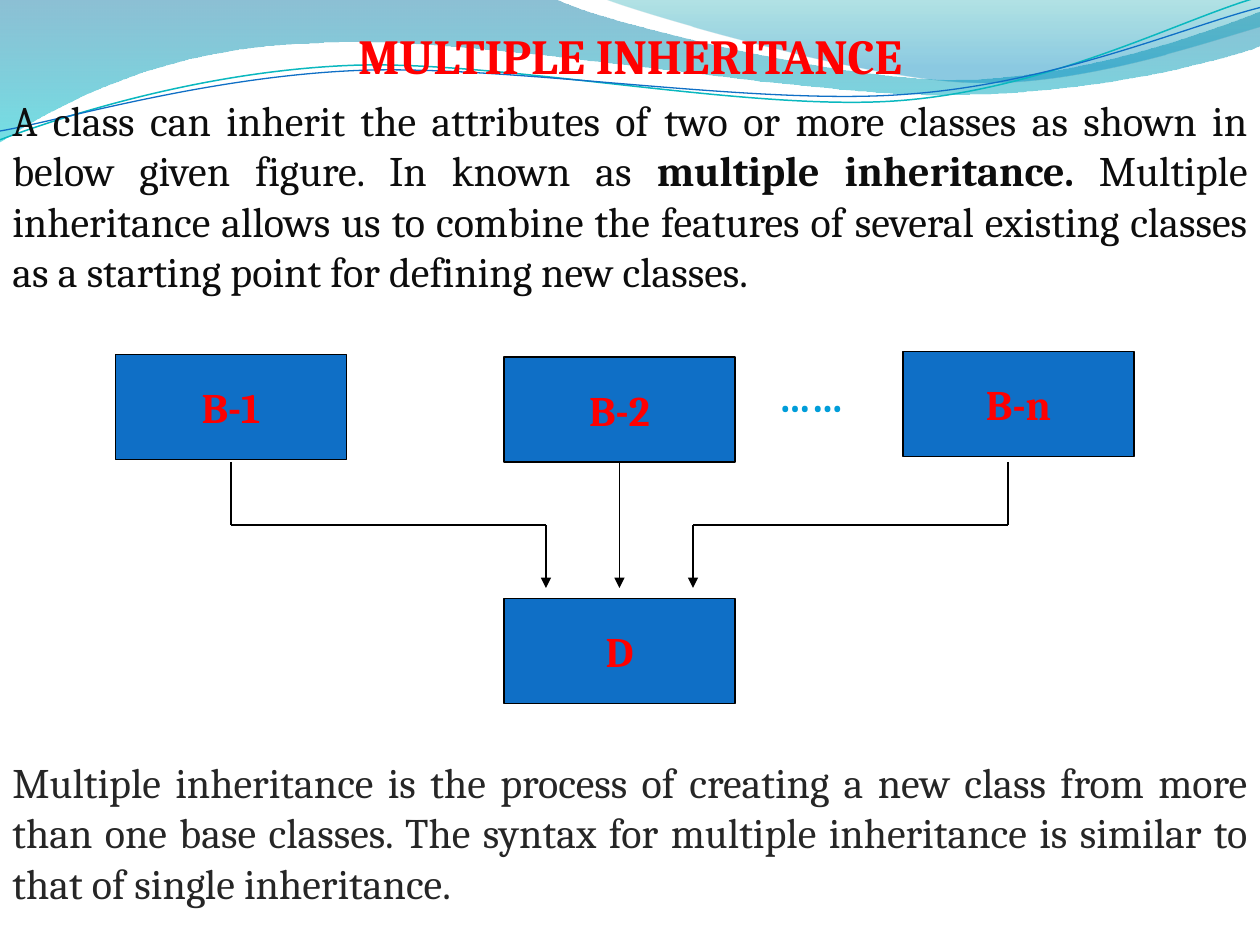
from dataclasses import dataclass

from lxml import etree
from pptx import Presentation
from pptx import util as u
from pptx.dml.color import RGBColor
from pptx.enum import shapes, text
from pptx.oxml.ns import qn


@dataclass(frozen=True)
class Theme:
    """Colours, type sizes and line widths of the slide."""
    font: str = "Cambria"
    accent: str = "FF0000"
    ink: str = "0D0D0D"
    soft_ink: str = "262626"
    dots: str = "009DD9"
    box: str = "0F6FC6"
    teal: str = "0AB8BF"
    outline: str = "000000"
    title_size: int = 28
    body_size: int = 24
    line_width: float = 0.75
    left_wave: tuple = ((0, "0074A1", 45), (1, "00C6CF", 55))
    right_wave: tuple = ((0, "00A1A9", 30), (0.8, "008BBF", 45))


THEME = Theme()
WIDTH, HEIGHT = u.Inches(10), u.Inches(7.5)
CELL = WIDTH / 120
PERCENT = WIDTH / 100
BOX_COLUMNS, BOX_ROWS = 22, 10

LEFT_WAVE = [
    [(0, 0)], [(44, -0.1)],
    [(47.6, 1.7), (66.4, 6.3), (75.8, 6.3)], [(85.3, 6.3), (95.8, 2.6), (100, 0.9)],
    [(100.1, 3.6)],
    [(98.3, 4.4), (87, 7.6), (74.6, 7.5)], [(62.2, 7.5), (38.2, 2.8), (25.7, 3.4)],
    [(12.9, 3.6), (4.6, 8.3), (-0.1, 11.3)], [(0, 0)],
]
RIGHT_WAVE = [
    [(47.9, -0.1)],
    [(50.9, 1.1), (68.2, 6.2), (76.9, 6.5)], [(85.6, 6.9), (96.1, 3.2), (100, 2.1)],
    [(100, 0)], [(47.9, -0.1)],
]
TEAL_CURVE = [
    [(0, 11.1)],
    [(4.8, 9.3), (15.8, 5.7), (27.7, 5.2)], [(39.5, 4.7), (59.3, 8.9), (71.3, 8)],
    [(83.3, 7.1), (93.8, 1.5), (99.8, -0.2)],
]
BLUE_CURVE = [
    [(0, 10.4)],
    [(4.7, 9.6), (16.4, 6.1), (28.3, 5.6)], [(40.3, 5.1), (59.7, 8.4), (71.7, 7.5)],
    [(83.6, 6.7), (94.1, 2.1), (100, 0.6)],
]


def cells(*counts):
    """Turn counts of grid cells into lengths."""
    return [round(count * CELL) for count in counts]


def apply(target, values):
    """Set each attribute of target from a dict of format values."""
    for name, value in values.items():
        setattr(target, name, value)


def colour(value):
    """Read a colour from its hexadecimal form."""
    return RGBColor.from_string(value)


def style_line(line, value, width=THEME.line_width):
    """Give a line its colour and width."""
    line.color.rgb = colour(value)
    line.width = u.Pt(width)


def add_outline(slide, segments, close):
    """Add a freeform whose three-point segments are cubic curves."""
    lengths = [[(round(x * PERCENT), round(y * PERCENT)) for x, y in segment]
               for segment in segments]
    builder = slide.shapes.build_freeform(*lengths[0][0], scale=1.0)
    builder.add_line_segments([segment[-1] for segment in lengths[1:]], close=close)
    shape = builder.convert_to_shape()
    shape.shadow.inherit = False
    lines = list(shape._element.iter(qn("a:lnTo")))
    for line, segment in zip(lines, lengths[1:]):
        if len(segment) == 3:
            curve = etree.Element(qn("a:cubicBezTo"))
            for x, y in segment:
                etree.SubElement(curve, qn("a:pt"), x=str(x - shape.left), y=str(y - shape.top))
            line.getparent().replace(line, curve)
    return shape


def add_wave(slide, segments, stops):
    """Add a filled wave with a translucent gradient from top to bottom."""
    shape = add_outline(slide, segments, close=True)
    shape.line.fill.background()
    shape.fill.gradient()
    shape.fill.gradient_angle = 270
    for stop, (position, value, _) in zip(shape.fill.gradient_stops, stops):
        stop.position = position
        stop.color.rgb = colour(value)
    gradient = shape._element.spPr.find(qn("a:gradFill"))
    for node, (_, _, opacity) in zip(gradient.iter(qn("a:srgbClr")), stops):
        etree.SubElement(node, qn("a:alpha"), val=str(opacity * 1000))


def add_curve(slide, segments, value, width):
    """Add an open curve."""
    shape = add_outline(slide, segments, close=False)
    shape.fill.background()
    style_line(shape.line, value, width)


def write(paragraph, pieces, value, size=THEME.body_size, **layout):
    """Write pairs of wording and boldness into a paragraph."""
    apply(paragraph, layout)
    for wording, bold in pieces:
        run = paragraph.add_run()
        run.text = wording
        apply(run.font, {"name": THEME.font, "size": u.Pt(size), "bold": bold})
        run.font.color.rgb = colour(value)


def add_text(slide, place):
    """Add a wrapping text box and return its frame."""
    frame = slide.shapes.add_textbox(*cells(*place)).text_frame
    apply(frame, {"word_wrap": True, "auto_size": text.MSO_AUTO_SIZE.SHAPE_TO_FIT_TEXT})
    return frame


def add_class(slide, name, column, row):
    """Add the box of one class."""
    shape = slide.shapes.add_shape(shapes.MSO_SHAPE.RECTANGLE,
                                   *cells(column, row, BOX_COLUMNS, BOX_ROWS))
    shape.shadow.inherit = False
    shape.fill.solid()
    shape.fill.fore_color.rgb = colour(THEME.box)
    style_line(shape.line, THEME.outline)
    apply(shape.text_frame, {"word_wrap": False, "vertical_anchor": text.MSO_ANCHOR.MIDDLE})
    write(shape.text_frame.paragraphs[0], [(name, True)], THEME.accent,
          alignment=text.PP_ALIGN.CENTER)
    return shape


def add_line(slide, start, end, arrow=False):
    """Add a straight connector, with an arrowhead at its end on request."""
    connector = slide.shapes.add_connector(shapes.MSO_CONNECTOR.STRAIGHT,
                                           *cells(*start, *end))
    style_line(connector.line, THEME.outline)
    if arrow:
        etree.SubElement(connector.line._get_or_add_ln(), qn("a:tailEnd"), type="triangle")
    etree.SubElement(connector._element.spPr, qn("a:effectLst"))
    return connector


def add_diagram(slide):
    """Add the base classes, the derived class and the arrows between them."""
    add_class(slide, "B-1", 11, 33.75)
    middle = add_class(slide, "B-2", 48, 34)
    add_class(slide, "B-n", 86, 33.45)
    dots = add_text(slide, (73, 34.7, 12, 6))
    write(dots.paragraphs[0], [("……", True)], THEME.dots)
    add_class(slide, "D", 48, 57)
    top, bend, bottom = 44, 50, 56
    for outer, inner in ((22, 52), (96, 66)):
        add_line(slide, (outer, top), (outer, bend))
        add_line(slide, (min(outer, inner), bend), (max(outer, inner), bend))
        add_line(slide, (inner, bend), (inner, bottom), arrow=True)
    add_line(slide, (59, top), (59, bottom), arrow=True).begin_connect(middle, 2)


def main():
    """Build the slide and save it."""
    presentation = Presentation()
    apply(presentation, {"slide_width": WIDTH, "slide_height": HEIGHT})
    slide = presentation.slides.add_slide(presentation.slide_layouts[6])
    add_wave(slide, LEFT_WAVE, THEME.left_wave)
    add_wave(slide, RIGHT_WAVE, THEME.right_wave)
    add_curve(slide, TEAL_CURVE, THEME.teal, 0.85)
    add_curve(slide, BLUE_CURVE, THEME.box, THEME.line_width)
    intro = add_text(slide, (0, 1.8, 120, 27.5))
    write(intro.paragraphs[0], [("MULTIPLE INHERITANCE", True)], THEME.accent,
          THEME.title_size, alignment=text.PP_ALIGN.CENTER)
    write(intro.add_paragraph(), [
        ("A class can inherit the attributes of two or more classes as shown in below given "
         "figure. In known as", False),
        (" multiple inheritance. ", True),
        ("Multiple inheritance allows us to combine the features of several existing classes "
         "as a starting point for defining new classes.", False),
    ], THEME.ink, alignment=text.PP_ALIGN.JUSTIFY, space_before=u.Pt(6))
    add_diagram(slide)
    closing = add_text(slide, (0, 71.45, 120, 15.7))
    write(closing.paragraphs[0], [
        ("Multiple inheritance is the process of creating a new class from more than one base "
         "classes. The syntax for multiple inheritance is similar to that of single "
         "inheritance.", False),
    ], THEME.soft_ink, alignment=text.PP_ALIGN.JUSTIFY)
    presentation.save("out.pptx")


if __name__ == "__main__":
    main()
